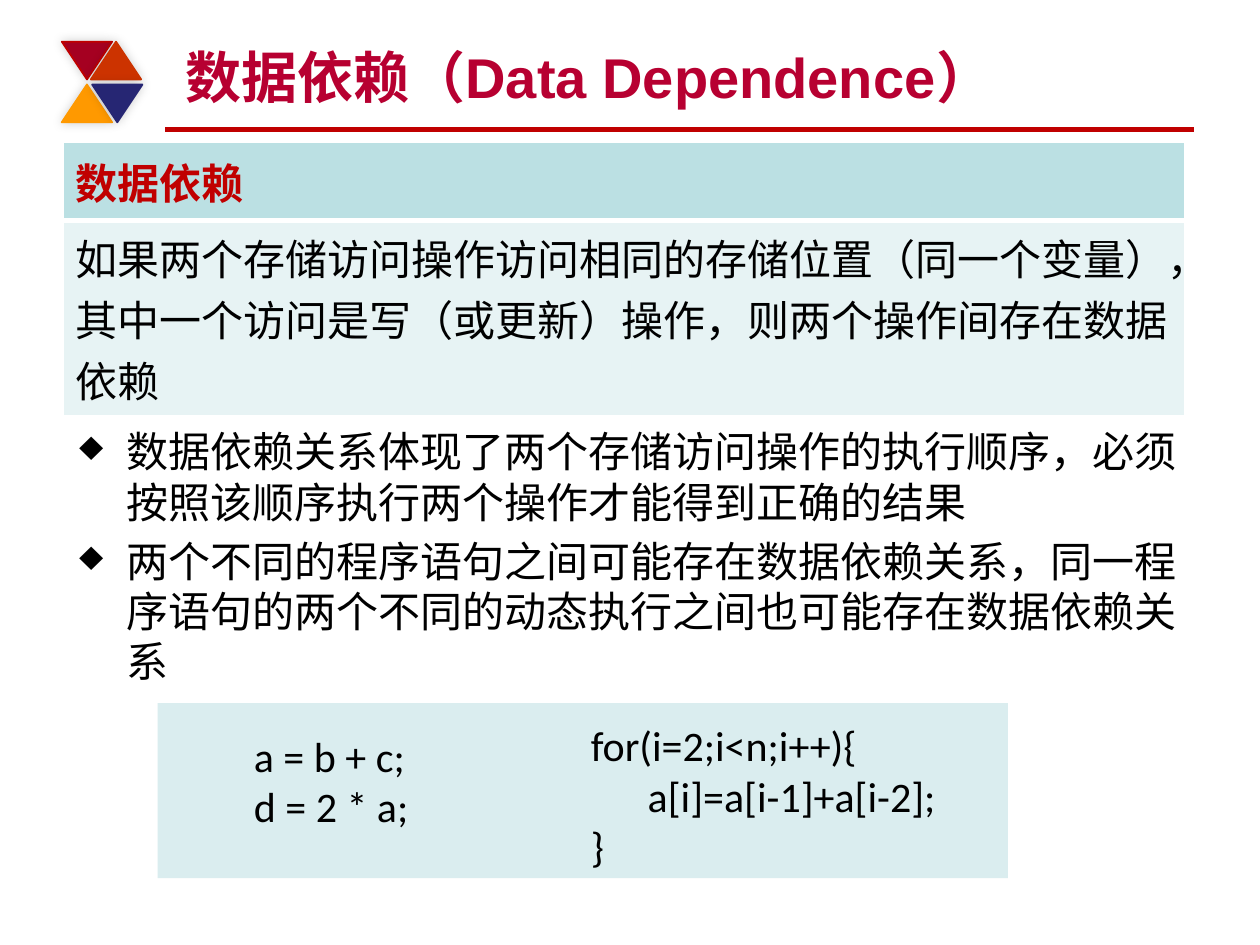
import pptx
import pptx.dml.color
import pptx.enum.shapes
import pptx.enum.text
import pptx.oxml
import pptx.oxml.ns
import pptx.util

Pt = pptx.util.Pt
RGB = pptx.dml.color.RGBColor
SHAPE = pptx.enum.shapes.MSO_SHAPE
ANCHOR = pptx.enum.text.MSO_ANCHOR
ALIGN = pptx.enum.text.PP_ALIGN

BLACK = RGB(0x00, 0x00, 0x00)
WHITE = RGB(0xFF, 0xFF, 0xFF)
RED = RGB(0xC0, 0x00, 0x00)
TITLE_RED = RGB(0xB7, 0x00, 0x31)
MAROON = RGB(0xA5, 0x00, 0x21)
RUST = RGB(0xCC, 0x33, 0x00)
ORANGE = RGB(0xFF, 0x99, 0x00)
NAVY = RGB(0x26, 0x26, 0x73)
TEAL = RGB(0xBB, 0xE0, 0xE3)
PALE_TEAL = RGB(0xE7, 0xF3, 0xF4)
CODE_TEAL = RGB(0xDA, 0xED, 0xEF)
TEXT_SIZE = 24


def xml(text):
    return pptx.oxml.parse_xml(text.replace(">", " " + pptx.oxml.ns.nsdecls("a") + ">", 1))


def add_text(para, text, color=BLACK, size=TEXT_SIZE, name="Arial", bold=False):
    span = para.add_run()
    span.text = text
    span.font.name = name
    span.font.size = Pt(size)
    span.font.bold = bold
    span.font.color.rgb = color


def add_box(page, left, top, width, height):
    box = page.shapes.add_textbox(Pt(left), Pt(top), Pt(width), Pt(height))
    box.text_frame.word_wrap = True
    return box.text_frame


def paragraphs(frame, count):
    return [frame.paragraphs[0]] + [frame.add_paragraph() for _ in range(count - 1)]


def add_title(page, left, top, width, height):
    title = page.shapes.title
    title.left, title.top, title.width, title.height = Pt(left), Pt(top), Pt(width), Pt(height)
    title.text_frame.vertical_anchor = ANCHOR.BOTTOM
    para = title.text_frame.paragraphs[0]
    para.alignment = ALIGN.LEFT
    add_text(para, "数据依赖（Data Dependence）", TITLE_RED, 32, bold=True)


def add_rule(page, left, right, top):
    rule = page.shapes.add_connector(
        pptx.enum.shapes.MSO_CONNECTOR.STRAIGHT, Pt(left), Pt(top), Pt(right), Pt(top))
    rule.line.color.rgb = RED
    rule.line.width = Pt(3)
    rule._element.spPr.append(xml("<a:effectLst></a:effectLst>"))


def add_triangles(page, left, top):
    """Four softly shadowed triangles, two to a row."""
    width, height, row_step = 28.8, 21.6, 24.5
    triangles = [
        (0, 0, 180, MAROON, RED), (16.6, 0, 0, RUST, RUST),
        (0, row_step, 0, ORANGE, ORANGE), (17.3, row_step, 180, NAVY, NAVY),
    ]
    for across, down, rotation, fill, outline in triangles:
        triangle = page.shapes.add_shape(
            SHAPE.ISOSCELES_TRIANGLE, Pt(left + across), Pt(top + down), Pt(width), Pt(height))
        triangle.rotation = rotation
        triangle.fill.solid()
        triangle.fill.fore_color.rgb = fill
        triangle.line.color.rgb = outline
        triangle.line.width = Pt(1)
        triangle._element.spPr.append(xml(
            f'<a:effectLst><a:outerShdw blurRad="{Pt(6)}" dist="0" dir="18900000">'
            '<a:srgbClr val="000000"><a:alpha val="20000"/></a:srgbClr>'
            '</a:outerShdw></a:effectLst>'))


def set_borders(cell, **widths):
    properties = cell._tc.get_or_add_tcPr()
    for index, side in enumerate(("lnL", "lnR", "lnT", "lnB")):
        properties.insert(index, xml(
            f'<a:{side} w="{Pt(widths.get(side, 1))}"><a:solidFill>'
            f'<a:srgbClr val="{WHITE}"/></a:solidFill></a:{side}>'))


def add_definition(page, left, top, width, heights):
    frame = page.shapes.add_table(2, 1, Pt(left), Pt(top), Pt(width), Pt(sum(heights)))
    table = frame.table
    rows = [
        ("数据依赖", RED, True, TEAL, {"lnB": 3}),
        ("如果两个存储访问操作访问相同的存储位置（同一个变量），"
         "其中一个访问是写（或更新）操作，则两个操作间存在数据依赖",
         BLACK, False, PALE_TEAL, {"lnT": 3}),
    ]
    for index, (text, color, bold, fill, borders) in enumerate(rows):
        table.rows[index].height = Pt(heights[index])
        cell = table.cell(index, 0)
        cell.fill.solid()
        cell.fill.fore_color.rgb = fill
        cell.vertical_anchor = ANCHOR.MIDDLE
        set_borders(cell, **borders)
        para = cell.text_frame.paragraphs[0]
        add_text(para, text, color, bold=bold)


def add_bullets(page, left, top, width, height):
    texts = [
        "数据依赖关系体现了两个存储访问操作的执行顺序，必须按照该顺序执行两个操作才能得到正确的结果",
        "两个不同的程序语句之间可能存在数据依赖关系，"
        "同一程序语句的两个不同的动态执行之间也可能存在数据依赖关系",
    ]
    frame = add_box(page, left, top, width, height)
    for index, (para, text) in enumerate(zip(paragraphs(frame, len(texts)), texts)):
        properties = para._p.get_or_add_pPr()
        properties.set("marL", str(Pt(27)))
        properties.set("indent", str(Pt(-27)))
        properties.append(xml('<a:buChar char="♦"></a:buChar>'))
        para.space_before = Pt(4.8 if index else 0)
        add_text(para, text)


def add_code(page, left, top, width, height, lines):
    frame = add_box(page, left, top, width, height)
    for para, line in zip(paragraphs(frame, len(lines)), lines):
        add_text(para, line, name="Calibri")


def add_code_panel(page, left, top, width, height):
    panel = page.shapes.add_shape(SHAPE.RECTANGLE, Pt(left), Pt(top), Pt(width), Pt(height))
    panel.shadow.inherit = False
    panel.fill.solid()
    panel.fill.fore_color.rgb = CODE_TEAL
    panel.line.fill.background()
    add_code(page, left + 48, top + 12, 126, 65.5, ["a = b + c;", "d = 2 * a;"])
    add_code(page, left + 240.5, top + 6, 240, 94.5,
             ["for(i=2;i<n;i++){", "      a[i]=a[i-1]+a[i-2];", "}"])


def main():
    deck = pptx.Presentation()
    deck.slide_width, deck.slide_height = Pt(720), Pt(540)
    page = deck.slides.add_slide(deck.slide_layouts[5])
    add_rule(page, 94.5, 682.5, 74.2)
    add_triangles(page, 35.3, 23.8)
    add_title(page, 98.6, 18, 576, 48.2)
    add_definition(page, 36, 81.4, 640.8, (44.6, 93.6))
    add_bullets(page, 38.2, 239.8, 644.4, 275.8)
    add_code_panel(page, 90, 401.8, 486, 100)
    deck.save("out.pptx")


if __name__ == "__main__":
    main()
